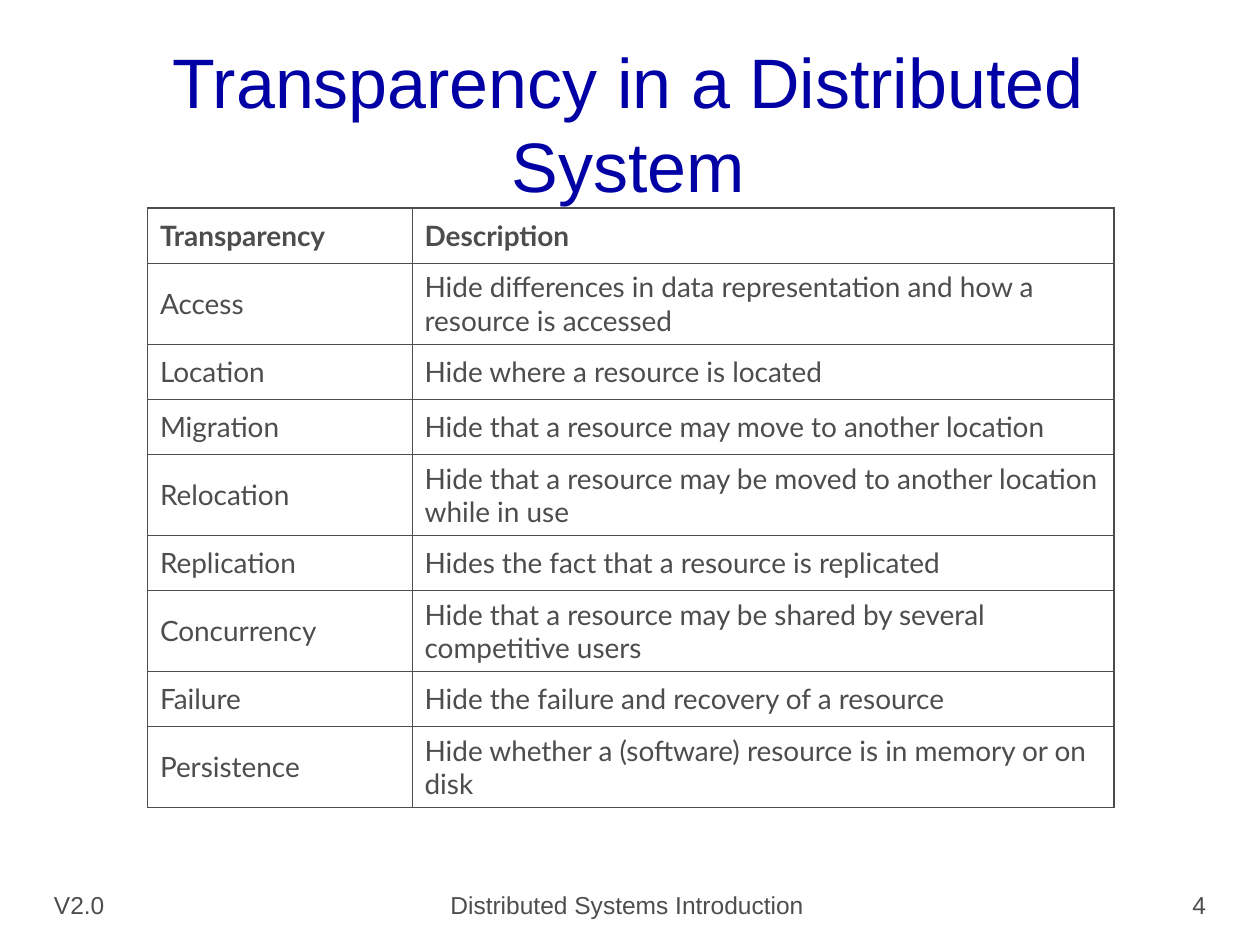
from lxml import etree
from pptx import Presentation
from pptx.dml.color import RGBColor
from pptx.enum.text import MSO_ANCHOR, MSO_AUTO_SIZE, PP_ALIGN
from pptx.oxml.ns import qn
from pptx.util import Inches, Pt

LEFT, CENTER, RIGHT = PP_ALIGN.LEFT, PP_ALIGN.CENTER, PP_ALIGN.RIGHT
MIDDLE, BOTTOM = MSO_ANCHOR.MIDDLE, MSO_ANCHOR.BOTTOM
TITLE_ONLY = 5

COLORS = {"title": "0000A4", "text": "4D4D4D"}
THIN, THICK = 0.45, 1.08
COLUMN_WIDTHS = [2.1, 5.57]
SINGLE_ROW, DOUBLE_ROW = 0.44, 0.64

ROWS = [
    ("Transparency", "Description", SINGLE_ROW),
    ("Access", "Hide differences in data representation and how a resource is accessed", DOUBLE_ROW),
    ("Location", "Hide where a resource is located", SINGLE_ROW),
    ("Migration", "Hide that a resource may move to another location", SINGLE_ROW),
    ("Relocation", "Hide that a resource may be moved to another location while in use", DOUBLE_ROW),
    ("Replication", "Hides the fact that a resource is replicated", SINGLE_ROW),
    ("Concurrency", "Hide that a resource may be shared by several competitive users", DOUBLE_ROW),
    ("Failure", "Hide the failure and recovery of a resource", SINGLE_ROW),
    ("Persistence", "Hide whether a (software) resource is in memory or on disk", DOUBLE_ROW),
]

FOOTERS = [
    ("V2.0", 0.33, 2.5, LEFT),
    ("Distributed Systems Introduction ", 3.42, 3.17, CENTER),
    ("4", 7.17, 2.5, RIGHT),
]


def write_text(frame, text, font_name, size, color, align=LEFT, bold=False):
    frame.word_wrap = True
    para = frame.paragraphs[0]
    para.text = text
    para.alignment = align
    para.font.name = font_name
    para.font.size = Pt(size)
    para.font.bold = bold
    para.font.color.rgb = RGBColor.from_string(COLORS[color])


def add_title(page, text):
    title = page.shapes.title
    title.left, title.top = Inches(0.33), Inches(0.25)
    title.width, title.height = Inches(9.31), Inches(1.45)
    frame = title.text_frame
    frame.auto_size = MSO_AUTO_SIZE.NONE
    frame.vertical_anchor = MIDDLE
    write_text(frame, text, "Arial", 40, "title", CENTER)


def add_footer(page, text, left, width, align):
    box = page.shapes.add_textbox(Inches(left), Inches(6.83), Inches(width), Inches(0.52))
    box.text_frame.vertical_anchor = BOTTOM
    write_text(box.text_frame, text, "Arial", 14, "text", align)


def set_borders(cell, widths):
    """Draw the cell's borders; widths maps each side (L, R, T, B) to points."""
    properties = cell._tc.get_or_add_tcPr()
    for index, (side, width) in enumerate(widths.items()):
        line = etree.Element(qn(f"a:ln{side}"), w=str(Pt(width)))
        fill = etree.SubElement(line, qn("a:solidFill"))
        etree.SubElement(fill, qn("a:srgbClr"), val=COLORS["text"])
        properties.insert(index, line)


def add_transparency_table(page):
    last_row, last_column = len(ROWS) - 1, len(COLUMN_WIDTHS) - 1
    heights = [height for *_, height in ROWS]
    frame = page.shapes.add_table(
        len(ROWS), len(COLUMN_WIDTHS), Inches(1.17), Inches(1.65),
        Inches(sum(COLUMN_WIDTHS)), Inches(sum(heights)))
    table = frame.table
    table.horz_banding = False
    for column, width in zip(table.columns, COLUMN_WIDTHS):
        column.width = Inches(width)
    for r, (*texts, height) in enumerate(ROWS):
        table.rows[r].height = Inches(height)
        for c, text in enumerate(texts):
            cell = table.cell(r, c)
            cell.fill.background()
            cell.vertical_anchor = MIDDLE
            write_text(cell.text_frame, text, "Lato", 16, "text", bold=r == 0)
            outer = {"L": c == 0, "R": c == last_column, "T": r == 0, "B": r == last_row}
            set_borders(cell, {side: THICK if edge else THIN for side, edge in outer.items()})


def main():
    deck = Presentation()
    deck.slide_width, deck.slide_height = Inches(10), Inches(7.5)
    page = deck.slides.add_slide(deck.slide_layouts[TITLE_ONLY])
    for footer in FOOTERS:
        add_footer(page, *footer)
    add_title(page, "Transparency in a Distributed System")
    add_transparency_table(page)
    deck.save("out.pptx")


if __name__ == "__main__":
    main()
